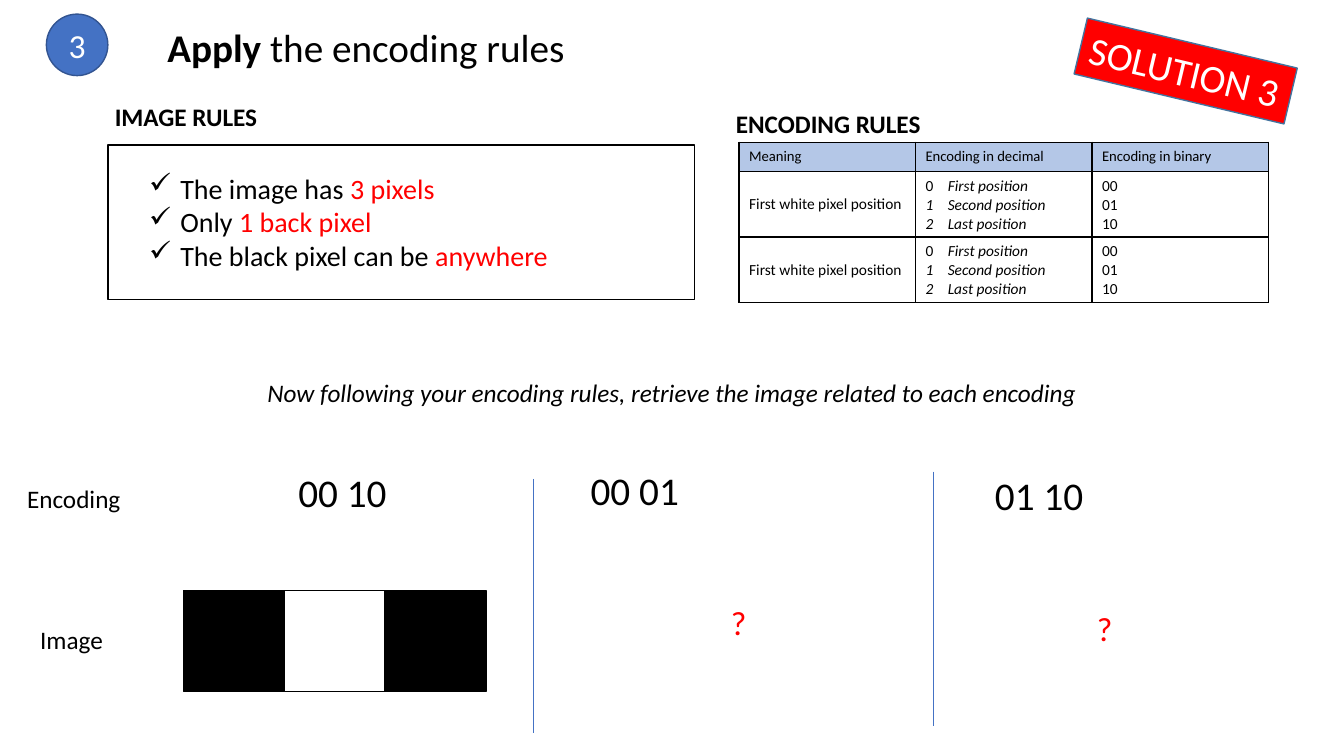
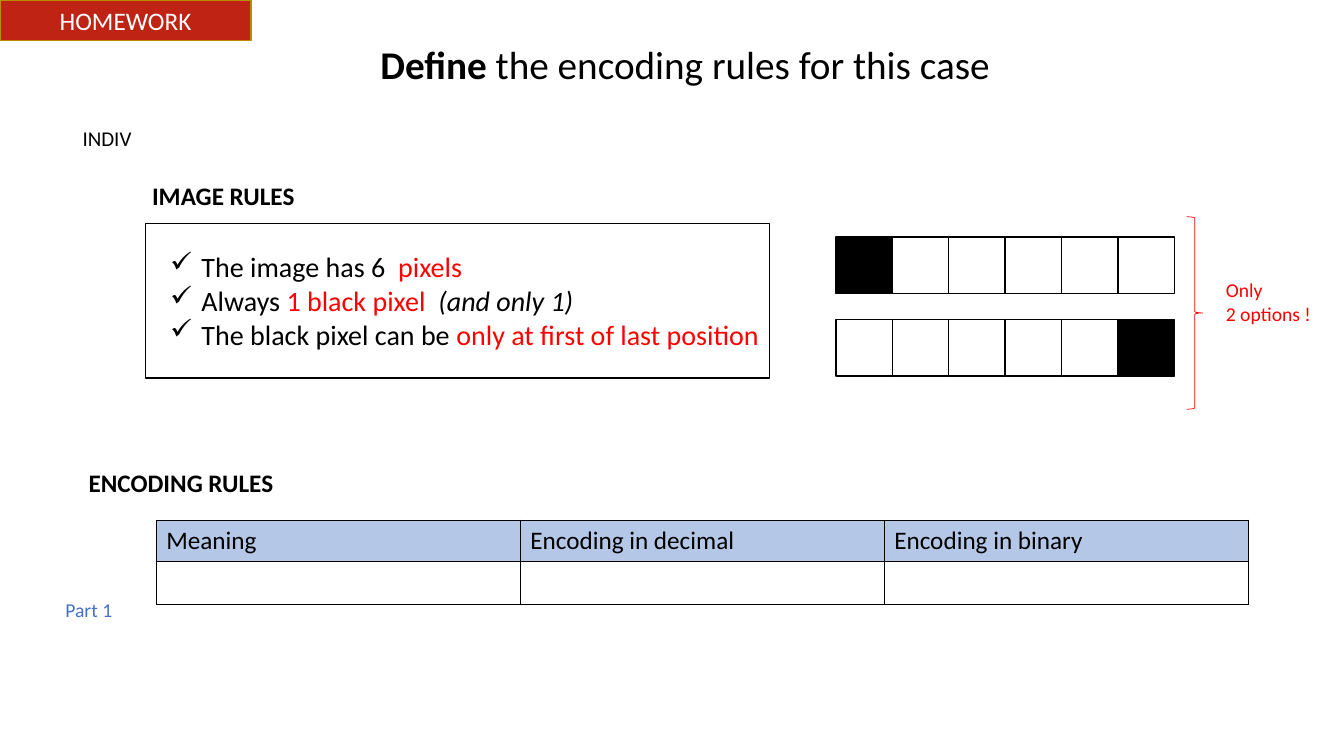
from lxml import etree
from pptx import Presentation
from pptx import util as u
from pptx.dml.color import RGBColor
from pptx.enum import shapes, text
from pptx.oxml import ns

FONT = "Calibri"
BLACK, WHITE, RED, BLUE, HEADER = "000000", "FFFFFF", "FF0000", "4472C4", "B4C7E7"
TITLE, LABEL = 28, 18
LEFT, CENTER = text.PP_ALIGN.LEFT, text.PP_ALIGN.CENTER
color = RGBColor.from_string


def write(frame, lines, size, ink=BLACK, align=LEFT, style="", wrap=False):
    frame.word_wrap = wrap
    for number, line in enumerate(lines):
        paragraph = frame.add_paragraph() if number else frame.paragraphs[0]
        paragraph.alignment = align
        font = paragraph.font
        font.name, font.size = FONT, u.Pt(size)
        font.color.rgb = color(ink)
        font.bold, font.italic = style == "bold", style == "italic"
        for piece in [line] if isinstance(line, str) else line:
            words, accent = (piece, "") if isinstance(piece, str) else piece
            run = paragraph.add_run()
            run.text = words
            if accent == "red":
                run.font.color.rgb = color(RED)
            elif accent == "bold":
                run.font.bold = True
            elif accent == "italic":
                run.font.italic = True


def draw(slide, kind, box, fill=None, line=BLACK, width=1):
    shape = slide.shapes.add_shape(kind, *map(u.Inches, box))
    shape.shadow.inherit = False
    if fill:
        shape.fill.solid()
        shape.fill.fore_color.rgb = color(fill)
    else:
        shape.fill.background()
    shape.line.color.rgb = color(line)
    shape.line.width = u.Pt(width)
    return shape


presentation = Presentation()
presentation.slide_width, presentation.slide_height = u.Inches(13.33), u.Inches(7.5)
blank = presentation.slide_layouts[6]
solution = presentation.slides.add_slide(blank)
homework = presentation.slides.add_slide(blank)
RECTANGLE = shapes.MSO_SHAPE.RECTANGLE

titles = [
    (solution, (1.38, 0.18, 4.5, 0.57), [("Apply", "bold"), " the encoding rules"]),
    (homework, (3, 0.35, 7.59, 0.57), [("Define", "bold"), " the encoding rules for this case"]),
]
for slide, box, line in titles:
    title = slide.shapes.add_textbox(*map(u.Inches, box))
    write(title.text_frame, [line], TITLE, align=CENTER, wrap=True)

headings = [
    (solution, 1.04, 0.96, 1.63, "IMAGE RULES"),
    (solution, 7.2, 1.03, 2.06, "ENCODING RULES"),
    (homework, 1.41, 1.74, 1.63, "IMAGE RULES"),
    (homework, 0.78, 4.59, 2.06, "ENCODING RULES"),
]
for slide, left, top, width, words in headings:
    heading = slide.shapes.add_textbox(*map(u.Inches, (left, top, width, 0.4)))
    write(heading.text_frame, [words], LABEL, style="bold")

image_rules = [
    (solution, (1.07, 1.44, 5.82, 1.53), (1.38, 1.65, 4.2, 1.11), [
        ["The image has ", ("3 pixels", "red")],
        ["Only ", ("1 back pixel", "red")],
        ["The black pixel can be ", ("anywhere", "red")],
    ]),
    (homework, (1.44, 2.22, 6.19, 1.53), (1.59, 2.43, 6.1, 1.11), [
        ["The image has 6  ", ("pixels", "red")],
        ["Always ", ("1 black pixel  ", "red"), ("(and only 1)", "italic")],
        ["The black pixel can be ", ("only at first of last position", "red")],
    ]),
]
for slide, border, box, lines in image_rules:
    draw(slide, RECTANGLE, border)
    rules = slide.shapes.add_textbox(*map(u.Inches, box))
    write(rules.text_frame, lines, 20)
    for paragraph in rules.text_frame.paragraphs:
        properties = paragraph._p.get_or_add_pPr()
        properties.set("marL", str(u.Inches(0.31)))
        properties.set("indent", str(-u.Inches(0.31)))
        bullet = etree.Element(ns.qn("a:buChar"), char="✓")
        properties.insert(0, bullet)

positions = [
    ["0\t", ("First position", "italic")],
    [("1\tSecond position", "italic")],
    [("2\tLast position", "italic")],
]
position_row = [["First white pixel position"], positions, ["00", "01", "10"]]
header_row = [["Meaning"], ["Encoding in decimal"], ["Encoding in binary"]]
tables = [
    (solution, 7.33, 1.41, 1.75, [0.29, 0.65, 0.65], 10.5, [position_row, position_row]),
    (homework, 1.55, 5.16, 3.61, [0.41, 0.43], LABEL, [[[], [], []]]),
]
for slide, left, top, column_width, heights, header_size, body in tables:
    box = (left, top, column_width * 3, sum(heights))
    table = slide.shapes.add_table(len(heights), 3, *map(u.Inches, box)).table
    table.first_row = table.horz_banding = False
    for column in table.columns:
        column.width = u.Inches(column_width)
    for row_number, content in enumerate([header_row] + body):
        table.rows[row_number].height = u.Inches(heights[row_number])
        for column_number, lines in enumerate(content):
            cell = table.cell(row_number, column_number)
            write(cell.text_frame, lines, 11 if row_number else header_size, wrap=True)
            cell.vertical_anchor = text.MSO_ANCHOR.MIDDLE
            if row_number:
                cell.fill.background()
            else:
                cell.fill.solid()
                cell.fill.fore_color.rgb = color(HEADER)
            if lines is positions:
                for paragraph in cell.text_frame.paragraphs:
                    properties = paragraph._p.get_or_add_pPr()
                    properties.set("marL", str(u.Inches(0.22)))
                    properties.set("indent", str(-u.Inches(0.22)))
            cell_properties = cell._tc.get_or_add_tcPr()
            for place, side in enumerate(("lnL", "lnR", "lnT", "lnB")):
                edge = etree.Element(ns.qn("a:" + side), w=str(u.Pt(1)))
                edge_fill = etree.SubElement(edge, ns.qn("a:solidFill"))
                etree.SubElement(edge_fill, ns.qn("a:srgbClr"), val=BLACK)
                cell_properties.insert(place, edge)

labels = [
    (solution, (0.17, 4.75, 1.14, 0.4), ["Encoding"], LABEL, BLACK),
    (solution, (0.3, 6.14, 0.83, 0.4), ["Image"], LABEL, BLACK),
    (solution, (2.86, 4.6, 1.09, 0.57), ["00 10"], TITLE, BLACK),
    (solution, (5.76, 4.58, 1.09, 0.57), ["00 01"], TITLE, BLACK),
    (solution, (9.77, 4.63, 1.09, 0.57), ["01 10"], TITLE, BLACK),
    (solution, (7.15, 5.92, 0.36, 0.5), ["?"], 24, RED),
    (solution, (10.78, 5.98, 0.36, 0.5), ["?"], 24, RED),
    (homework, (0.72, 1.2, 0.69, 0.35), ["INDIV"], 15, BLACK),
    (homework, (0.55, 5.88, 0.67, 0.34), ["Part 1"], 14, BLUE),
    (homework, (12.06, 2.71, 1.05, 0.57), ["Only", "2 options !"], 14, RED),
]
for slide, box, lines, size, ink in labels:
    label = slide.shapes.add_textbox(*map(u.Inches, box))
    write(label.text_frame, lines, size, ink)

instruction = solution.shapes.add_textbox(*map(u.Inches, (1.98, 3.69, 9.37, 0.4)))
write(
    instruction.text_frame,
    ["Now following your encoding rules, retrieve the image related to each encoding"],
    LABEL, align=CENTER, style="italic", wrap=True,
)

pixel_rows = [
    (solution, 1.82, 5.86, 1, [BLACK, WHITE, BLACK]),
    (homework, 8.29, 2.35, 0.56, [BLACK] + [WHITE] * 5),
    (homework, 8.29, 3.17, 0.56, [WHITE] * 5 + [BLACK]),
]
for slide, left, top, side, pixels in pixel_rows:
    for number, pixel in enumerate(pixels):
        draw(slide, RECTANGLE, (left + number * side, top, side, side), pixel)

for left, top in [(5.29, 4.75), (9.26, 4.68)]:
    ends = map(u.Inches, (left, top, left, top + 2.52))
    divider = solution.shapes.add_connector(shapes.MSO_CONNECTOR.STRAIGHT, *ends)
    divider.line.color.rgb = color(BLUE)
    divider.line.width = u.Pt(0.5)
    etree.SubElement(divider._element.spPr, ns.qn("a:effectLst"))

step = draw(solution, shapes.MSO_SHAPE.OVAL, (0.46, 0.14, 0.61, 0.61), BLUE, "325491")
write(step.text_frame, ["3"], 24, WHITE, CENTER)

stamp = draw(solution, RECTANGLE, (10.69, 0.42, 2.14, 0.57), RED, "43739E")
stamp.rotation = 13.4
write(stamp.text_frame, ["SOLUTION 3"], TITLE, WHITE)

banner = draw(homework, RECTANGLE, (0, 0, 2.49, 0.4), "BE2314", "BA8C00")
write(banner.text_frame, ["HOMEWORK"], LABEL, WHITE, CENTER, wrap=True)

draw(homework, shapes.MSO_SHAPE.RIGHT_BRACE, (11.77, 2.15, 0.16, 1.91), line=RED, width=0.5)

presentation.save("out.pptx")
